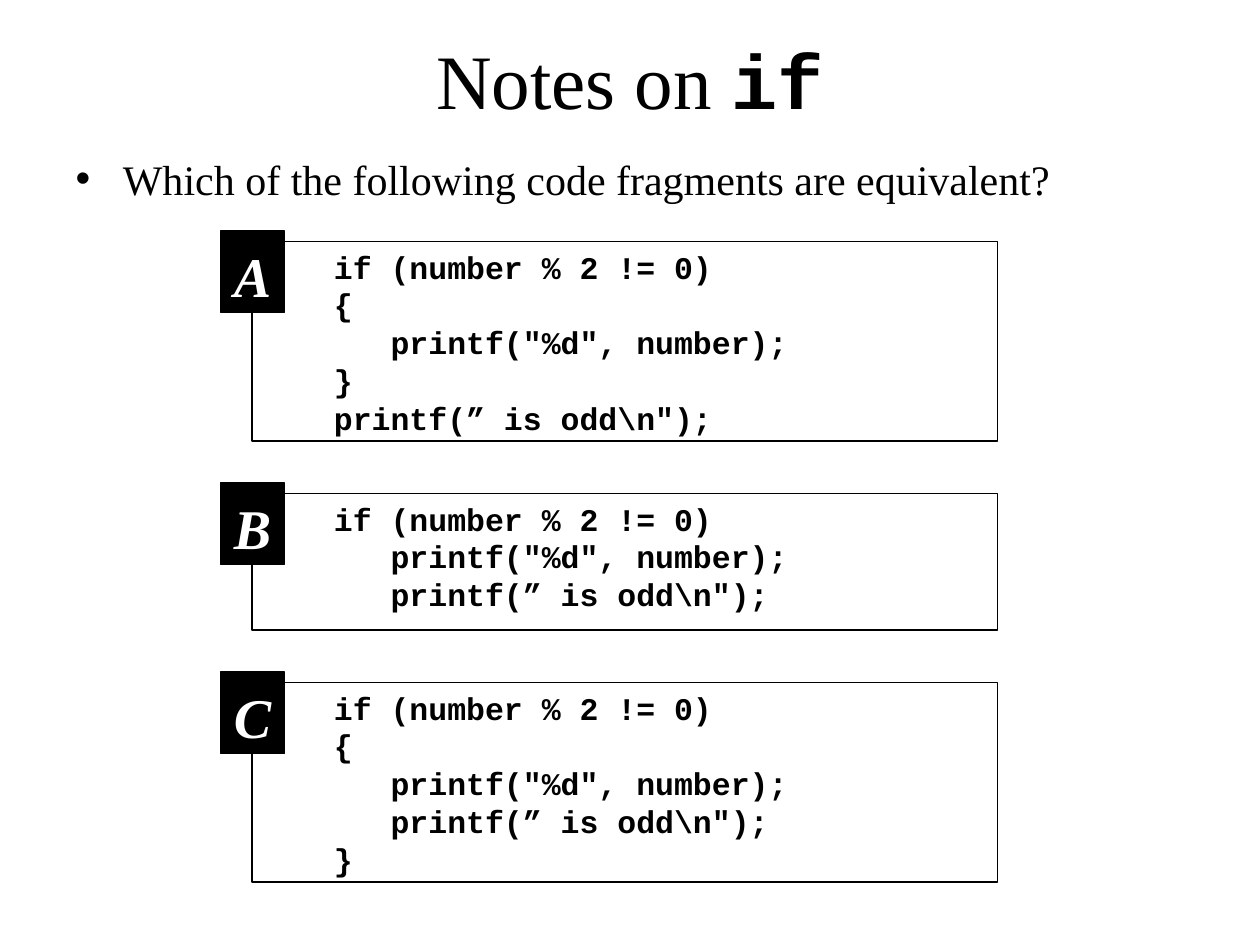
from pptx import Presentation
from pptx.dml.color import RGBColor
from pptx.enum import shapes, text
from pptx.util import Pt

SERIF, MONO = "Times New Roman", "Courier New"
BLACK, WHITE = "000000", "FFFFFF"
CODE_STEP = 32.4  # three monospaced characters at 18 pt

FRAGMENTS = [  # label, top, height, (level, code line)
    ("A", 138, 114, [(0, "if (number % 2 != 0)"), (0, "{"),
                     (1, 'printf("%d", number);'), (0, "}"),
                     (0, 'printf(” is odd\\n");')]),
    ("B", 282, 78, [(0, "if (number % 2 != 0)"),
                    (1, 'printf("%d", number);'),
                    (1, 'printf(” is odd\\n");')]),
    ("C", 390, 114, [(0, "if (number % 2 != 0)"), (0, "{"),
                     (1, 'printf("%d", number);'),
                     (1, 'printf(” is odd\\n");'), (0, "}")]),
]


def color(value):
    """Turn a hex string into a colour."""
    return RGBColor.from_string(value)


def add_text(p, words, font=SERIF, size=24, fill=BLACK, bold=False, italic=False):
    """Append one formatted run to a paragraph."""
    r = p.add_run()
    r.text = words
    r.font.name, r.font.size = font, Pt(size)
    r.font.bold, r.font.italic = bold, italic
    r.font.color.rgb = color(fill)


def place(sp, x, y, w, h):
    """Move a placeholder to a box and return its first paragraph."""
    sp.left, sp.top, sp.width, sp.height = Pt(x), Pt(y), Pt(w), Pt(h)
    sp.text_frame.auto_size = text.MSO_AUTO_SIZE.NONE
    return sp.text_frame.paragraphs[0]


def add_box(s, x, y, w, h, fill=None, insets=(7.2, 3.6, 7.2, 3.6)):
    """Add a black-lined rectangle and return its text frame."""
    sp = s.shapes.add_shape(shapes.MSO_SHAPE.RECTANGLE, Pt(x), Pt(y), Pt(w), Pt(h))
    sp.shadow.inherit = False
    sp.line.color.rgb, sp.line.width = color(BLACK), Pt(0.75)
    if fill:
        sp.fill.solid()
        sp.fill.fore_color.rgb = color(fill)
    else:
        sp.fill.background()
    tf = sp.text_frame
    tf.margin_left, tf.margin_top, tf.margin_right, tf.margin_bottom = map(Pt, insets)
    return tf


def add_fragment(s, x, y, w, h, label, lines):
    """Draw a code box with its letter tag over the top left corner."""
    tf = add_box(s, x, y, w, h, insets=(14.4 + CODE_STEP, 3.6, 7.2, 3.6))
    tf.word_wrap = True
    tf.vertical_anchor = text.MSO_ANCHOR.TOP
    for i, (level, code) in enumerate(lines):
        p = tf.add_paragraph() if i else tf.paragraphs[0]
        p.alignment = text.PP_ALIGN.LEFT
        if level:
            p._p.get_or_add_pPr().set("marL", str(Pt(level * CODE_STEP)))
        add_text(p, code, font=MONO, size=18, bold=True)

    tf = add_box(s, x - 18, y - 6, 36.6, 46.4, fill=BLACK, insets=(7.2, 8, 7.2, 3.6))
    tf.word_wrap = False
    tf.vertical_anchor = text.MSO_ANCHOR.MIDDLE
    p = tf.paragraphs[0]
    p.alignment = text.PP_ALIGN.CENTER
    add_text(p, label, size=32, fill=WHITE, bold=True, italic=True)


def add_quiz_slide(prs):
    """Build the slide with its title, question and code fragments."""
    s = prs.slides.add_slide(prs.slide_layouts[1])
    p = place(s.shapes.title, 54, 0, 612, 90)
    add_text(p, "Notes on ", size=44)
    add_text(p, "if", font=MONO, size=44, bold=True)
    p = place(s.placeholders[1], 36, 84, 666, 54)
    add_text(p, "Which of the following code fragments are equivalent?")
    for label, top, height, lines in FRAGMENTS:
        add_fragment(s, 144, top, 426, height, label, lines)


prs = Presentation()
prs.slide_width, prs.slide_height = Pt(720), Pt(540)
add_quiz_slide(prs)
prs.save("out.pptx")
